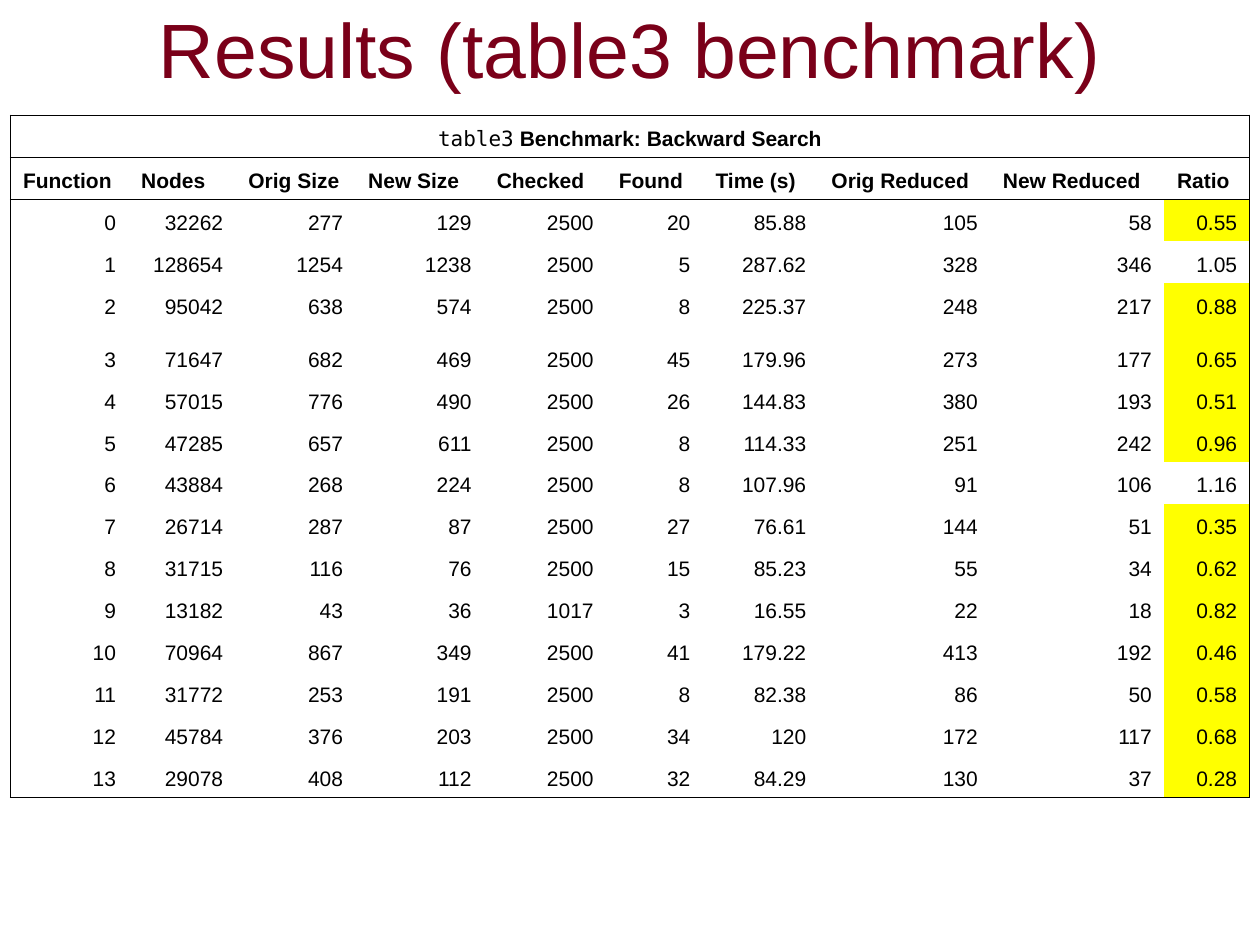
from lxml import etree
from pptx import Presentation
from pptx import util as u
from pptx.dml.color import RGBColor
from pptx.enum import text
from pptx.oxml import ns

Pt = u.Pt
HEADS = ["Function", "Nodes", "Orig Size", "New Size", "Checked", "Found",
         "Time (s)", "Orig Reduced", "New Reduced", "Ratio"]
DATA = """
0 32262 277 129 2500 20 85.88 105 58 0.55
1 128654 1254 1238 2500 5 287.62 328 346 1.05
2 95042 638 574 2500 8 225.37 248 217 0.88
3 71647 682 469 2500 45 179.96 273 177 0.65
4 57015 776 490 2500 26 144.83 380 193 0.51
5 47285 657 611 2500 8 114.33 251 242 0.96
6 43884 268 224 2500 8 107.96 91 106 1.16
7 26714 287 87 2500 27 76.61 144 51 0.35
8 31715 116 76 2500 15 85.23 55 34 0.62
9 13182 43 36 1017 3 16.55 22 18 0.82
10 70964 867 349 2500 41 179.22 413 192 0.46
11 31772 253 191 2500 8 82.38 86 50 0.58
12 45784 376 203 2500 34 120 172 117 0.68
13 29078 408 112 2500 32 84.29 130 37 0.28
"""
WIDTHS = [67.5, 61.25, 68.5, 73.5, 69.75, 55.25, 66.25, 98, 99.5, 48.75]


class Deck:
    hues = {"title": "7A0019", "ink": "000000", "mark": "FFFF00"}
    sans = "Arial"
    mono = "DejaVu Sans Mono"
    size = 12

    def __init__(self):
        self.prs = Presentation()
        self.prs.slide_width, self.prs.slide_height = Pt(720), Pt(540)
        self.slide = self.prs.slides.add_slide(self.prs.slide_layouts[5])

    def hue(self, name):
        return RGBColor.from_string(self.hues[name])

    def style(self, font, size, hue, face, bold=False):
        font.size, font.name, font.bold = Pt(size), face, bold
        font.color.rgb = self.hue(hue)

    def title(self, words, x, y, w, h):
        box = self.slide.shapes.title
        box.left, box.top, box.width, box.height = Pt(x), Pt(y), Pt(w), Pt(h)
        frame = box.text_frame
        frame.text = words
        frame.vertical_anchor = text.MSO_ANCHOR.MIDDLE
        para = frame.paragraphs[0]
        para.alignment = text.PP_ALIGN.CENTER
        self.style(para.font, 44, "title", self.sans)

    def edges(self, cell, sides):
        props = cell._tc.get_or_add_tcPr()
        for side in "LRTB":
            line = etree.SubElement(props, ns.qn(f"a:ln{side}"), w=str(Pt(1)))
            if side in sides:
                fill = etree.SubElement(line, ns.qn("a:solidFill"))
                etree.SubElement(fill, ns.qn("a:srgbClr"), val=self.hues["ink"])
            else:
                etree.SubElement(line, ns.qn("a:noFill"))

    def cell(self, cell, runs, align, sides, mark=False):
        self.edges(cell, sides)
        if mark:
            cell.fill.solid()
            cell.fill.fore_color.rgb = self.hue("mark")
        else:
            cell.fill.background()
        cell.vertical_anchor = text.MSO_ANCHOR.BOTTOM
        para = cell.text_frame.paragraphs[0]
        para.alignment = align
        props = para._p.get_or_add_pPr()
        props.set("marL", str(Pt(27)))
        props.set("indent", str(Pt(-27)))
        for words, face, bold in runs:
            run = para.add_run()
            run.text = words
            font = para.font if len(runs) == 1 else run.font
            self.style(font, self.size, "ink", face, bold)

    def table(self, top, heads, rows, x, y, widths, heights):
        grid = self.slide.shapes.add_table(
            len(heights), len(widths), Pt(x), Pt(y),
            Pt(sum(widths)), Pt(sum(heights))).table
        grid.first_row = grid.horz_banding = False
        for col, width in zip(grid.columns, widths):
            col.width = Pt(width)
        for row, height in zip(grid.rows, heights):
            row.height = Pt(height)
        last = len(widths) - 1
        grid.cell(0, 0).merge(grid.cell(0, last))
        self.cell(grid.cell(0, 0), top, text.PP_ALIGN.CENTER, "LRTB")
        for r, vals in enumerate([heads] + rows, 1):
            head = r == 1
            align = text.PP_ALIGN.LEFT if head else text.PP_ALIGN.RIGHT
            level = ("T" if r <= 2 else "") + ("B" if head or r == len(rows) + 1 else "")
            for c, val in enumerate(vals):
                sides = level + ("L" if c == 0 else "") + ("R" if c == last else "")
                mark = not head and c == last and float(val) < 1
                self.cell(grid.cell(r, c), [(val, self.sans, head)], align, sides, mark)


def main():
    deck = Deck()
    deck.title("Results (table3 benchmark)", 54, -18, 612, 90)
    rows = [line.split() for line in DATA.strip().splitlines()]
    heights = [24] * (len(rows) + 2)
    heights[5] = 30
    top = [("table3", deck.mono, False),
           (" Benchmark: Backward Search", deck.sans, True)]
    deck.table(top, HEADS, rows, 6, 66, WIDTHS, heights)
    deck.prs.save("out.pptx")


if __name__ == "__main__":
    main()
